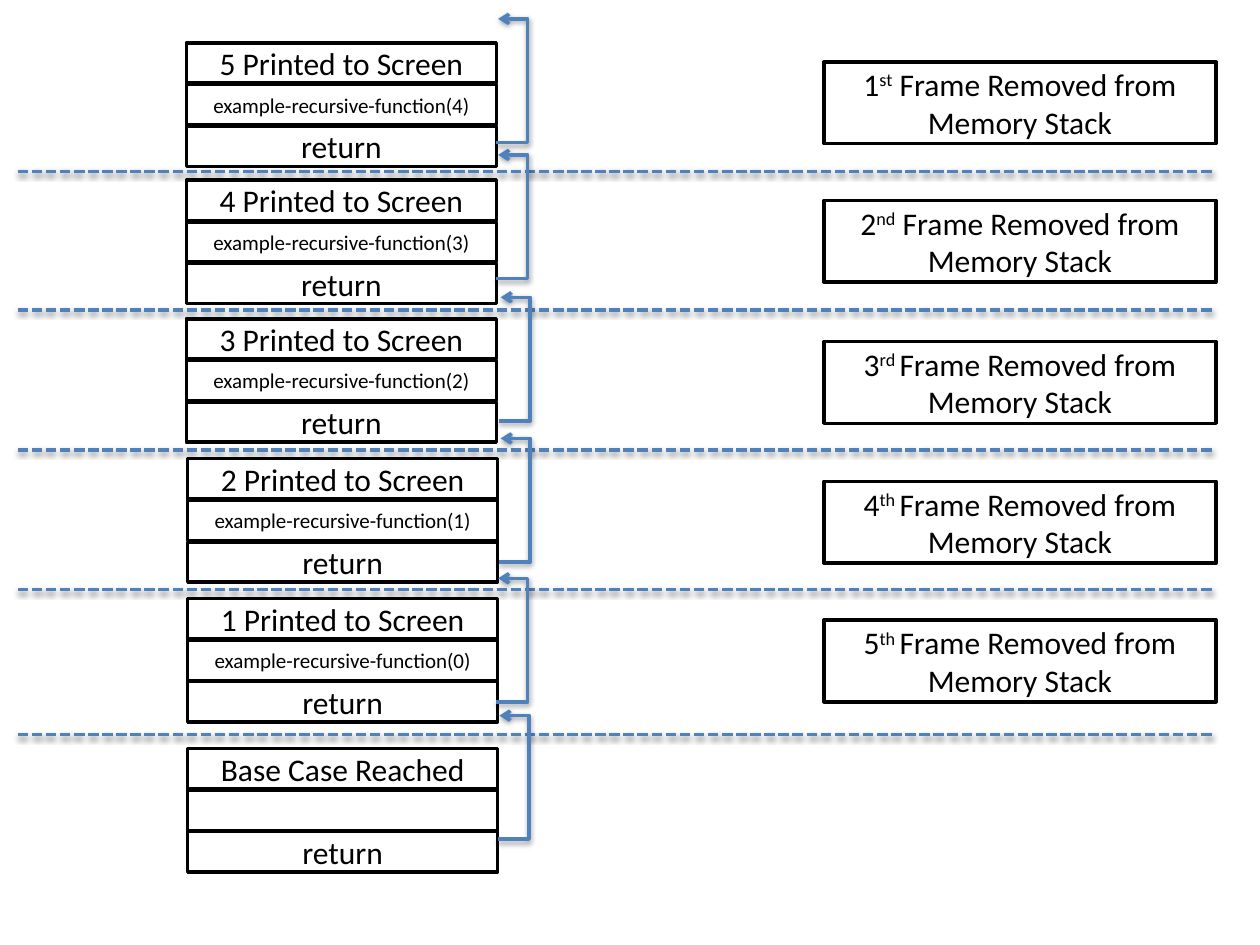
from lxml.etree import SubElement
from pptx import Presentation
from pptx.dml.color import RGBColor
from pptx.enum.dml import MSO_LINE
from pptx.enum.shapes import MSO_CONNECTOR, MSO_SHAPE
from pptx.enum.text import MSO_ANCHOR, PP_ALIGN
from pptx.oxml.ns import qn
from pptx.util import Inches, Pt

COLORS = {"paper": "FFFFFF", "ink": "000000", "accent": "4F81BD"}
LINE_WIDTH = Pt(2)
CELL_WIDTH, CELL_HEIGHT, ROW_STEP = 2.46, 0.32, 0.33
LABEL_LEFT, LABEL_WIDTH, LABEL_HEIGHT = 6.54, 3.11, 0.65
DIVIDER_LEFT, DIVIDER_RIGHT = 0.14, 9.64
RETURN_HEIGHT = 0.98
BEND = 1800000

FRAMES = [(1.48, 0.34), (1.48, 1.43), (1.48, 2.53), (1.49, 3.64), (1.49, 4.75)]
BASE_FRAME = (1.49, 5.94)
LABELS = [("st", " ", 0.49), ("nd", " ", 1.59), ("rd ", "", 2.71),
          ("th ", "", 3.82), ("th ", "", 4.92)]
DIVIDERS = [1.36, 2.46, 3.57, 4.68, 5.83]
RETURNS = [(3.95, 5.68), (3.94, 4.59), (3.96, 3.48),
           (3.96, 2.36), (3.94, 1.23), (3.94, 0.15)]


def color(name):
    """Return the named palette colour."""
    return RGBColor.from_string(COLORS[name])


def add_box(shapes, left, top, width, height, spans, size=18):
    """Add an outlined box holding one centred paragraph of (text, baseline) spans."""
    box = shapes.add_shape(MSO_SHAPE.RECTANGLE, Inches(left), Inches(top),
                           Inches(width), Inches(height))
    box.shadow.inherit = False
    box.fill.solid()
    box.fill.fore_color.rgb = color("paper")
    box.line.color.rgb = color("ink")
    box.line.width = LINE_WIDTH
    box.text_frame.vertical_anchor = MSO_ANCHOR.MIDDLE
    para = box.text_frame.paragraphs[0]
    para.alignment = PP_ALIGN.CENTER
    for text, baseline in spans:
        span = para.add_run()
        span.text = text
        for key, value in {"name": "Calibri", "size": Pt(size)}.items():
            setattr(span.font, key, value)
        span.font.color.rgb = color("ink")
        if baseline:
            span.font._element.set("baseline", str(baseline))


def add_frame(page, left, top, heading, call):
    """Add a grouped stack frame: heading, recursive call and return."""
    group = page.shapes.add_group_shape()
    for row, text, size in [(0, heading, 18), (2, "return", 18), (1, call, 12)]:
        spans = [(text, 0)] if text else []
        add_box(group.shapes, left, top + row * ROW_STEP,
                CELL_WIDTH, CELL_HEIGHT, spans, size)


def add_line(page, kind, start, end):
    """Add an accent connector that keeps the soft shadow of the theme."""
    line = page.shapes.add_connector(kind, *start, *end)
    line.line.color.rgb = color("accent")
    line.line.width = LINE_WIDTH
    return line


def add_divider(page, top):
    """Add a dashed line across the page."""
    line = add_line(page, MSO_CONNECTOR.STRAIGHT,
                    (Inches(DIVIDER_LEFT), Inches(top)),
                    (Inches(DIVIDER_RIGHT), Inches(top)))
    line.line.dash_style = MSO_LINE.SQUARE_DOT


def add_return(page, left, top):
    """Add a bent arrow from a frame up to the one before it."""
    line = add_line(page, MSO_CONNECTOR.ELBOW,
                    (Inches(left), Inches(top + RETURN_HEIGHT)),
                    (Inches(left) + Pt(1), Inches(top)))
    properties = line._element.spPr
    guides = properties.find(qn("a:prstGeom")).get_or_add_avLst()
    SubElement(guides, qn("a:gd"), name="adj1", fmla=f"val {BEND}")
    SubElement(properties.find(qn("a:ln")), qn("a:tailEnd"), type="arrow")


def main():
    """Build the slide of unwinding stack frames."""
    deck = Presentation()
    deck.slide_width, deck.slide_height = Inches(10), Inches(7.5)
    page = deck.slides.add_slide(deck.slide_layouts[6])
    count = len(FRAMES)
    for index, (left, top) in enumerate(FRAMES):
        number = count - index
        add_frame(page, left, top, f"{number} Printed to Screen",
                  f"example-recursive-function({number - 1})")
    add_frame(page, *BASE_FRAME, "Base Case Reached", "")
    for number, (suffix, gap, top) in enumerate(LABELS, 1):
        spans = [(str(number), 0), (suffix, 30000),
                 (f"{gap}Frame Removed from Memory Stack", 0)]
        add_box(page.shapes, LABEL_LEFT, top, LABEL_WIDTH, LABEL_HEIGHT, spans)
    for top in DIVIDERS:
        add_divider(page, top)
    for left, top in RETURNS:
        add_return(page, left, top)
    deck.save("out.pptx")


if __name__ == "__main__":
    main()
